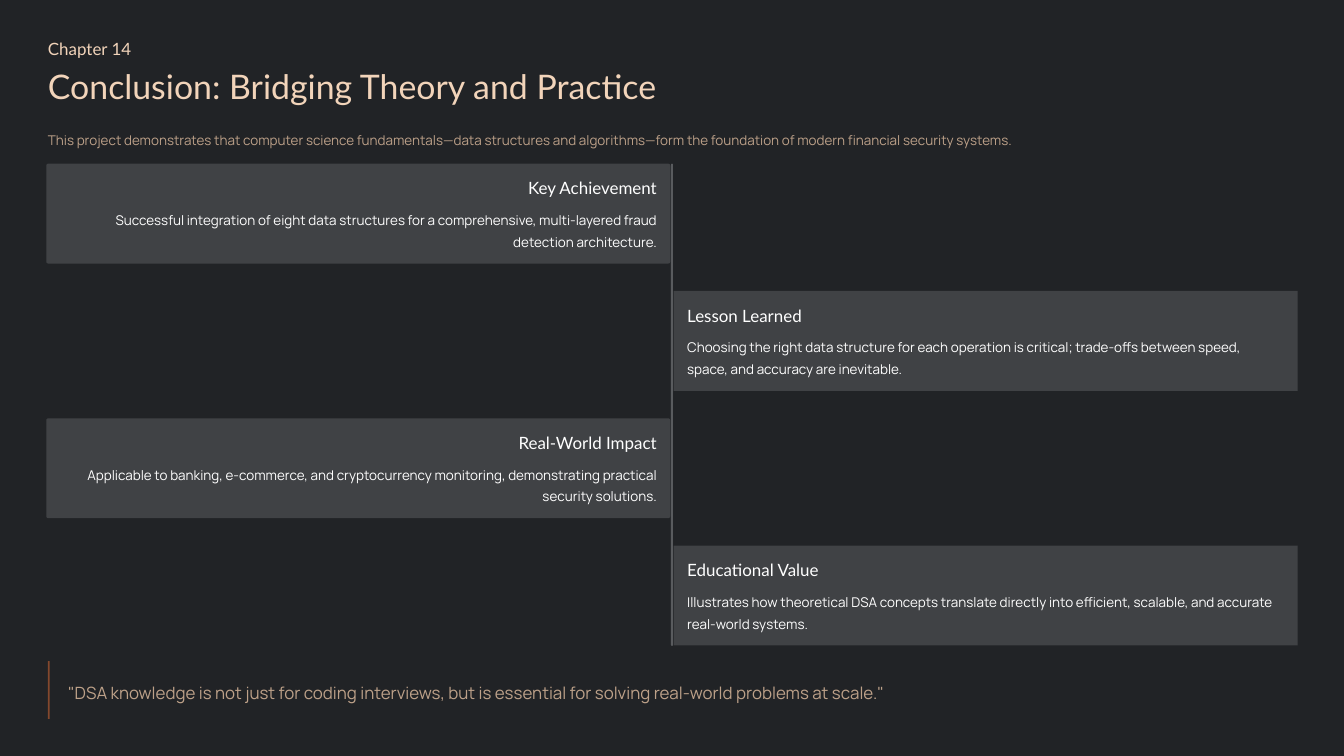
from pptx import Presentation
from pptx import util as u
from pptx.dml.color import RGBColor
from pptx.enum import shapes, text

Cm, Pt = u.Cm, u.Pt
RECT = shapes.MSO_SHAPE.RECTANGLE
ROUND = shapes.MSO_SHAPE.ROUNDED_RECTANGLE
LEFT, RIGHT = text.PP_ALIGN.LEFT, text.PP_ALIGN.RIGHT

# Text styles: font values, line spacing in points, colour
HEAD = ({"name": "Lato", "size": Pt(14.5)}, 18)
TITLE = ({"name": "Lato", "size": Pt(29)}, 36)
BODY = ({"name": "Manrope", "size": Pt(11.5)}, 18.5)
QUOTE = ({"name": "Manrope", "size": Pt(14.5)}, 23)
CREAM, TAN, WHITE = "F2D4BA", "BDA189", "FFFFFF"

prs = Presentation()
prs.slide_width, prs.slide_height = Cm(40.64), Cm(22.86)
slide = prs.slides.add_slide(prs.slide_layouts[6])


def paint(fill, tone):
    fill.solid()
    fill.fore_color.rgb = RGBColor.from_string(tone)


def write(words, place, style, tone, align=LEFT, wrap=False):
    frame = slide.shapes.add_textbox(*map(Cm, place)).text_frame
    margins = dict.fromkeys(
        ("margin_left", "margin_top", "margin_right", "margin_bottom"), 0)
    for key, val in {**margins, "word_wrap": wrap}.items():
        setattr(frame, key, val)
    para = frame.paragraphs[0]
    para.alignment = align
    para.line_spacing = Pt(style[1])
    run = para.add_run()
    run.text = words
    for key, val in style[0].items():
        setattr(run.font, key, val)
    paint(run.font.fill, tone)


paint(slide.background.fill, "212326")

# Heading, lead and quote
write("Chapter 14", (1.45, 1.14, 5.13, 0.64), HEAD, CREAM)
write("Conclusion: Bridging Theory and Practice",
      (1.45, 1.93, 20.62, 1.3), TITLE, CREAM)
write("This project demonstrates that computer science fundamentals—data "
      "structures and algorithms—form the foundation of modern financial "
      "security systems.", (1.45, 3.84, 37.77, 0.66), BODY, TAN)
write('"DSA knowledge is not just for coding interviews, but is essential '
      'for solving real-world problems at scale."',
      (2.06, 20.45, 37.13, 0.81), QUOTE, TAN)

# Cards alternate left and right of the spine
cards = [
    ("Key Achievement",
     "Successful integration of eight data structures for a comprehensive, "
     "multi-layered fraud detection architecture."),
    ("Lesson Learned",
     "Choosing the right data structure for each operation is critical; "
     "trade-offs between speed, space, and accuracy are inevitable."),
    ("Real-World Impact",
     "Applicable to banking, e-commerce, and cryptocurrency monitoring, "
     "demonstrating practical security solutions."),
    ("Educational Value",
     "Illustrates how theoretical DSA concepts translate directly into "
     "efficient, scalable, and accurate real-world systems."),
]
TOP, STEP, WIDE, HIGH, PAD = 4.95, 3.85, 18.87, 3.02, 0.41
HEADW, INNER = 5.13, WIDE - 2 * PAD

# Panels: spine, quote bar, then one per card
panels = [(ROUND, (20.29, TOP, 0.06, 14.58), "595B5E", 0.5),
          (RECT, (1.45, 19.99, 0.05, 1.75), "84482D", None)]
for i, (head, body) in enumerate(cards):
    x, y = (20.37 if i % 2 else 1.4), TOP + i * STEP
    panels.append((RECT if i % 2 else ROUND, (x, y, WIDE, HIGH),
                   "404245", None if i % 2 else 0.02))
for kind, place, tone, curve in panels:
    panel = slide.shapes.add_shape(kind, *map(Cm, place))
    panel.shadow.inherit = False
    panel.line.fill.background()
    paint(panel.fill, tone)
    if curve:
        panel.adjustments[0] = curve

# Card texts
for i, (head, body) in enumerate(cards):
    x, y = (20.37 if i % 2 else 1.4) + PAD, TOP + i * STEP
    align = LEFT if i % 2 else RIGHT
    shift = 0 if i % 2 else INNER - HEADW
    write(head, (x + shift, y + PAD, HEADW, 0.64), HEAD, WHITE, align)
    write(body, (x, y + 1.3, INNER, 1.32), BODY, WHITE, align, True)

prs.save("out.pptx")
